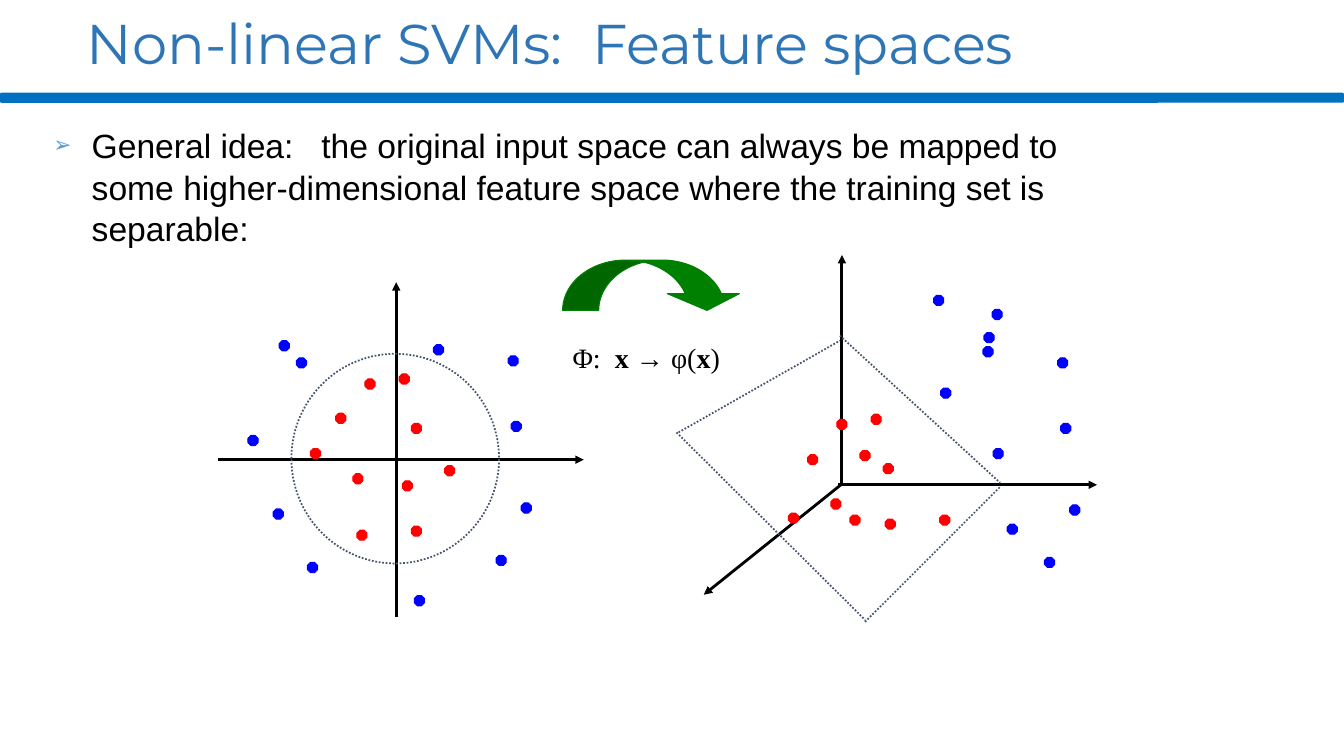
"""Build the slide on non-linear SVMs and feature spaces."""
import pptx
import pptx.dml.color
import pptx.enum.dml
import pptx.enum.shapes
import pptx.enum.text
import pptx.oxml.ns
import pptx.util
from lxml import etree

TITLE = "Non-linear SVMs:  Feature spaces"
IDEA = ("General idea:   the original input space can always be mapped to some "
        "higher-dimensional feature space where the training set is separable:")
MAPPING = [("Φ:  ", False), ("x → ", True), ("φ(", False), ("x", True), (")", False)]
COLORS = {"bar": "0070C0", "title": "2E75B6", "bullet": "5B9BD5", "text": "000000",
          "inside": "FF0000", "outside": "0000FF", "boundary": "44546A", "arrow": "008000"}

INPUT_SPACE = {
    "inside": [(3.96, 3.71), (3.33, 4.1), (3.5, 4.7), (4.08, 5.22), (3.62, 3.76),
               (3.08, 4.45), (3.54, 5.26), (4.08, 4.2), (4.41, 4.62), (3.99, 4.77)],
    "outside": [(5.07, 4.18), (4.92, 5.51), (2.46, 4.32), (4.11, 5.91), (5.17, 4.99),
                (3.05, 5.58), (2.71, 5.05), (2.77, 3.38), (4.3, 3.42), (2.94, 3.55),
                (5.04, 3.53)],
}
FEATURE_SPACE = {
    "inside": [(8.64, 4.11), (8.01, 4.51), (8.43, 5.11), (9.32, 5.11), (8.3, 4.16),
               (8.53, 4.47), (8.78, 5.15), (8.76, 4.6), (8.24, 4.95), (7.82, 5.09)],
    "outside": [(10.52, 4.2), (10.36, 5.53), (9.84, 3.07), (9.85, 4.45), (10.61, 5.01),
                (9.33, 3.85), (9.99, 5.2), (9.76, 3.3), (9.75, 3.44), (9.26, 2.93),
                (10.49, 3.55)],
}
AXES = [(3.93, 6.12, 3.93, 2.8), (2.16, 4.56, 5.79, 4.56), (8.35, 4.79, 8.35, 2.53),
        (8.31, 4.81, 10.88, 4.81), (8.34, 4.81, 6.98, 5.9)]
PLANE_EDGES = [(8.33, 3.33, 9.92, 4.79), (8.58, 6.17, 9.92, 4.83),
               (6.73, 4.29, 8.33, 3.38), (6.71, 4.29, 8.58, 6.15)]
DOT = 0.1

SHAPE = pptx.enum.shapes.MSO_SHAPE
ANCHOR = pptx.enum.text.MSO_ANCHOR
DOTTED = pptx.enum.dml.MSO_LINE.ROUND_DOT
qn = pptx.oxml.ns.qn


def rgb(name):
    """Return the named colour."""
    return pptx.dml.color.RGBColor.from_string(COLORS[name])


def inches(values):
    """Convert numbers to lengths."""
    return [pptx.util.Inches(v) for v in values]


def place(sp, box):
    """Move and size a shape."""
    sp.left, sp.top, sp.width, sp.height = inches(box)


def style(font, name, size, color):
    """Set the font of a run."""
    font.name, font.size = name, pptx.util.Pt(size)
    font.color.rgb = rgb(color)


def add_shape(slide, kind, box, fill=None, line=None, width=0.75, adjustments=()):
    """Add a flat preset shape."""
    sp = slide.shapes.add_shape(kind, *inches(box))
    sp.shadow.inherit = False
    for i, value in enumerate(adjustments):
        sp.adjustments[i] = value
    if fill:
        sp.fill.solid()
        sp.fill.fore_color.rgb = rgb(fill)
    else:
        sp.fill.background()
    if line:
        sp.line.color.rgb = rgb(line)
        sp.line.width = pptx.util.Pt(width)
    else:
        sp.line.fill.background()
    return sp


def add_line(slide, ends, color, width, arrow=False):
    """Add an arrowed axis or a dotted edge."""
    cx = slide.shapes.add_connector(pptx.enum.shapes.MSO_CONNECTOR.STRAIGHT, *inches(ends))
    cx.line.color.rgb = rgb(color)
    cx.line.width = pptx.util.Pt(width)
    if arrow:
        etree.SubElement(cx.line._get_or_add_ln(), qn("a:tailEnd"), type="triangle")
    else:
        cx.line.dash_style = DOTTED
    etree.SubElement(cx._element.spPr, qn("a:effectLst"))


def add_bullet(p):
    """Give a paragraph its arrowhead bullet and hanging indent."""
    pPr = p._p.get_or_add_pPr()
    indent = pptx.util.Inches(0.38)
    pPr.set("marL", str(indent))
    pPr.set("indent", str(-indent))
    clr = etree.SubElement(pPr, qn("a:buClr"))
    etree.SubElement(clr, qn("a:srgbClr"), val=COLORS["bullet"])
    etree.SubElement(pPr, qn("a:buSzPct"), val="65000")
    etree.SubElement(pPr, qn("a:buFont"), typeface="Arial")
    etree.SubElement(pPr, qn("a:buChar"), char="➢")


def add_text(slide):
    """Fill the title and body and add the mapping formula."""
    title, body = slide.placeholders
    place(title, (0.76, 0, 11.55, 0.83))
    tf = title.text_frame
    tf.text = TITLE
    tf.vertical_anchor = ANCHOR.MIDDLE
    tf.auto_size = pptx.enum.text.MSO_AUTO_SIZE.NONE
    p = tf.paragraphs[0]
    p.alignment = pptx.enum.text.PP_ALIGN.LEFT
    style(p.runs[0].font, "Montserrat", 40, "title")

    place(body, (0.43, 1.17, 10.65, 5.5))
    tf = body.text_frame
    tf.text = IDEA
    tf.auto_size = pptx.enum.text.MSO_AUTO_SIZE.NONE
    p = tf.paragraphs[0]
    add_bullet(p)
    p.space_before = pptx.util.Pt(0)
    p.line_spacing = 1.04
    style(p.runs[0].font, "Arial", 24, "text")

    tb = slide.shapes.add_textbox(*inches((5.58, 3.33, 2.08, 0.44)))
    tb.text_frame.word_wrap = True
    for text, bold in MAPPING:
        r = tb.text_frame.paragraphs[0].add_run()
        r.text = text
        style(r.font, "Times New Roman", 20, "text")
        r.font.bold = bold


def main():
    """Build and save the slide."""
    prs = pptx.Presentation()
    prs.slide_width, prs.slide_height = inches((13.33, 7.5))
    slide = prs.slides.add_slide(prs.slide_layouts[1])
    add_shape(slide, SHAPE.ROUNDED_RECTANGLE, (0, 0.92, 13.33, 0.1), "bar")
    add_text(slide)
    for axis in AXES:
        add_line(slide, axis, "text", 2, arrow=True)
    for space in (INPUT_SPACE, FEATURE_SPACE):
        for group, dots in space.items():
            for x, y in dots:
                add_shape(slide, SHAPE.OCTAGON, (x, y, DOT, DOT), group, group)
    circle = add_shape(slide, SHAPE.OVAL, (2.89, 3.51, 2.06, 2.08), None, "boundary", 1.25)
    circle.line.dash_style = DOTTED
    for edge in PLANE_EDGES:
        add_line(slide, edge, "boundary", 1.25)
    add_shape(slide, SHAPE.CURVED_DOWN_ARROW, (5.58, 2.58, 1.79, 0.5), "arrow", "arrow",
              adjustments=(0.717, 1.433, 0.333))
    prs.save("out.pptx")


if __name__ == "__main__":
    main()
